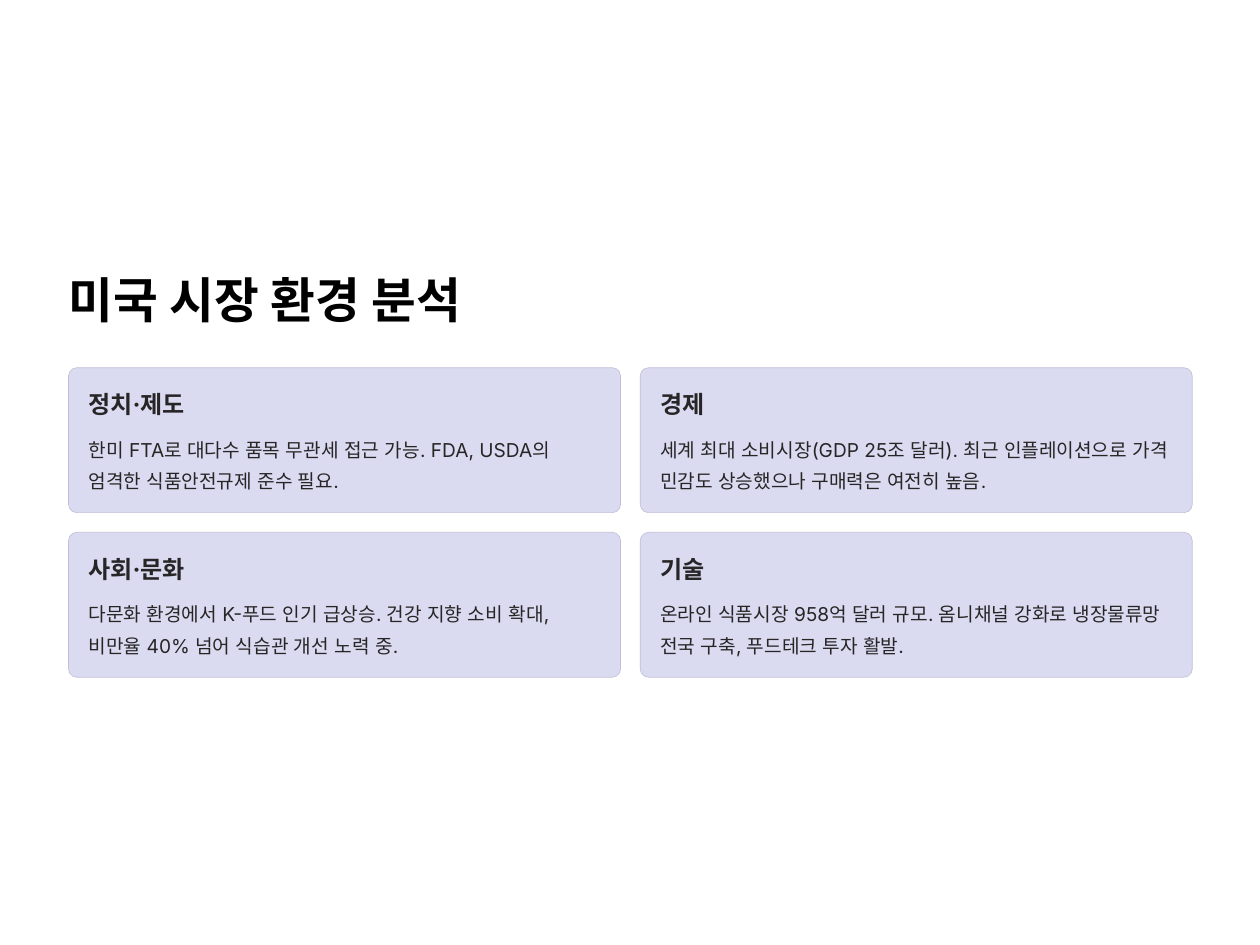
import pptx
import pptx.dml.color
import pptx.enum.shapes
import pptx.oxml.ns
import pptx.util
from lxml import etree

Inches = pptx.util.Inches
Pt = pptx.util.Pt

TITLE = "미국 시장 환경 분석"
FACTORS = [
    ("정치·제도", "한미 FTA로 대다수 품목 무관세 접근 가능. FDA, USDA의 엄격한 식품안전규제 준수 필요."),
    ("경제", "세계 최대 소비시장(GDP 25조 달러). 최근 인플레이션으로 가격 민감도 상승했으나 구매력은 여전히 높음."),
    ("사회·문화", "다문화 환경에서 K-푸드 인기 급상승. 건강 지향 소비 확대, 비만율 40% 넘어 식습관 개선 노력 중."),
    ("기술", "온라인 식품시장 958억 달러 규모. 옴니채널 강화로 냉장물류망 전국 구축, 푸드테크 투자 활발."),
]

FONT = "Inter"
TITLE_STYLE = {"size": Pt(44.5), "bold": True}
HEADING_STYLE = {"size": Pt(22), "bold": True}
BODY_STYLE = {"size": Pt(17.5), "bold": False}

LEFT, TOP = 0.87, 4.67
CARD_W, CARD_H = 7.01, 1.84
GAP = 0.25
PAD = 0.255


def color(value):
    return pptx.dml.color.RGBColor.from_string(value)


def add_text(slide, text, box, style, line_pt, ink, wrap=False):
    frame = slide.shapes.add_textbox(*map(Inches, box)).text_frame
    settings = {"margin_left": 0, "margin_top": 0, "margin_right": 0,
                "margin_bottom": 0, "word_wrap": wrap}
    for name, value in settings.items():
        setattr(frame, name, value)
    paragraph = frame.paragraphs[0]
    paragraph.line_spacing = Pt(line_pt)
    run = paragraph.add_run()
    run.text = text
    for name, value in {"name": FONT, **style}.items():
        setattr(run.font, name, value)
    run.font.color.rgb = color(ink)
    east_asian = etree.SubElement(run.font._element, pptx.oxml.ns.qn("a:ea"))
    east_asian.set("typeface", FONT)


def add_card(slide, x, y, heading, body):
    card = slide.shapes.add_shape(
        pptx.enum.shapes.MSO_SHAPE.ROUNDED_RECTANGLE,
        *map(Inches, (x, y, CARD_W, CARD_H)))
    card.adjustments[0] = 0.057
    card.shadow.inherit = False
    card.fill.solid()
    card.fill.fore_color.rgb = color("DADBF1")
    card.line.color.rgb = color("C0C1D7")
    card.line.width = Pt(0.6)
    add_text(slide, heading, (x + PAD, y + 0.26, 3.1, 0.39), HEADING_STYLE, 27.5, "272525")
    add_text(slide, body, (x + PAD, y + 0.79, CARD_W - 2 * PAD, 0.79),
             BODY_STYLE, 28.5, "272525", wrap=True)


def main():
    deck = pptx.Presentation()
    deck.slide_width, deck.slide_height = Inches(16), Inches(12)
    slide = deck.slides.add_slide(deck.slide_layouts[6])
    slide.background.fill.solid()
    slide.background.fill.fore_color.rgb = color("FFFFFF")
    add_text(slide, TITLE, (LEFT, 3.4, 6.2, 0.78), TITLE_STYLE, 55.5, "000000")
    for index, (heading, body) in enumerate(FACTORS):
        row, column = divmod(index, 2)
        add_card(slide, LEFT + column * (CARD_W + GAP), TOP + row * (CARD_H + GAP),
                 heading, body)
    deck.save("out.pptx")


if __name__ == "__main__":
    main()
